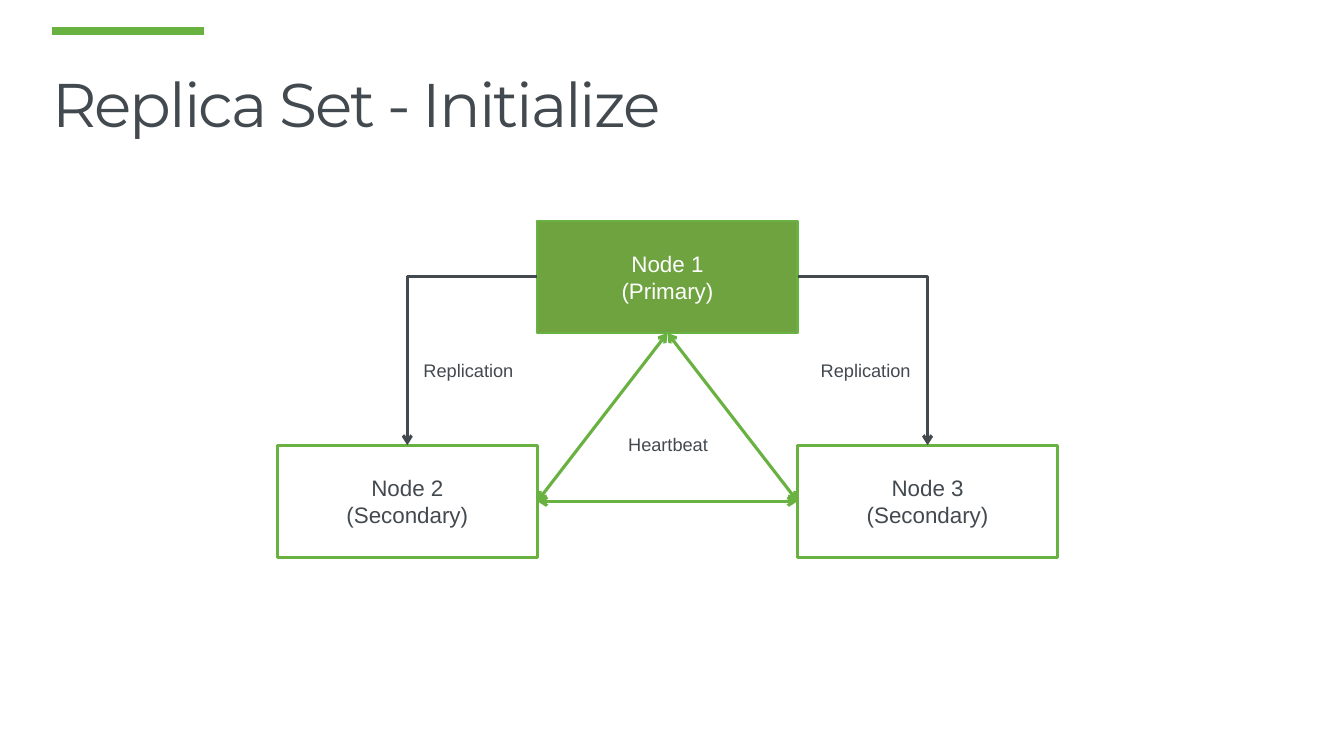
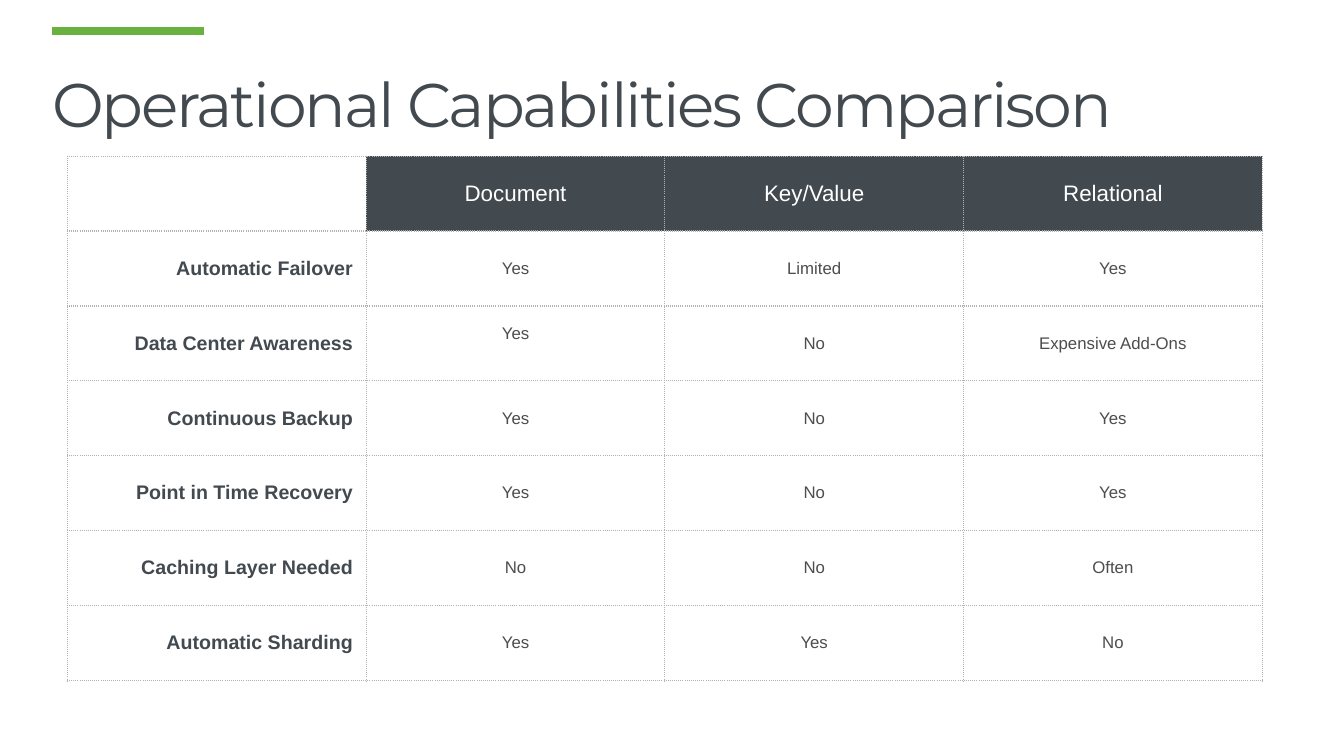
from lxml.etree import SubElement
from pptx import Presentation
from pptx.dml.color import RGBColor
from pptx.enum.shapes import MSO_CONNECTOR, MSO_SHAPE
from pptx.enum.text import MSO_ANCHOR, PP_ALIGN
from pptx.oxml import parse_xml
from pptx.oxml.ns import nsdecls, qn
from pptx.util import Inches, Pt

# Shared style
GREEN = "69B241"
PRIMARY_GREEN = "6EA340"
SLATE = "42494F"
BODY_GREY = "4E4C4C"
BORDER_GREY = "B3B2B2"
WHITE = "FFFFFF"
BODY_FONT = "Arial"
TITLE_FONT = "Montserrat"
SIDE_MARGIN = 0.13
LABEL_MARGIN = 0.07

# Connection sites of a rectangle
TOP, LEFT, BOTTOM, RIGHT = range(4)

COMPARISON = [
    ["", "Document", "Key/Value", "Relational"],
    ["Automatic Failover", "Yes", "Limited", "Yes"],
    ["Data Center Awareness", "Yes", "No", "Expensive Add-Ons"],
    ["Continuous Backup", "Yes", "No", "Yes"],
    ["Point in Time Recovery", "Yes", "No", "Yes"],
    ["Caching Layer Needed", "No", "No", "Often"],
    ["Automatic Sharding", "Yes", "Yes", "No"],
]
RAISED_CELL = (2, 1)


def color(hex_value):
    return RGBColor.from_string(hex_value)


def set_margins(target, horizontal, vertical):
    target.margin_left = target.margin_right = Inches(horizontal)
    target.margin_top = target.margin_bottom = Inches(vertical)


def write(text_frame, text, size, hex_value, alignment=PP_ALIGN.LEFT,
          font=BODY_FONT, bold=False):
    text_frame.text = text
    for paragraph in text_frame.paragraphs:
        paragraph.alignment = alignment
        for run in paragraph.runs:
            run.font.name = font
            run.font.size = Pt(size)
            run.font.bold = bold
            run.font.color.rgb = color(hex_value)


def add_line(slide, start, end, hex_value, width, kind=MSO_CONNECTOR.STRAIGHT,
             arrows=()):
    points = [Inches(value) for value in (*start, *end)]
    connector = slide.shapes.add_connector(kind, *points)
    connector.line.color.rgb = color(hex_value)
    connector.line.width = Pt(width)
    properties = connector._element.spPr
    outline = properties.find(qn("a:ln"))
    for arrow in arrows:
        SubElement(outline, qn(f"a:{arrow}"), type="arrow")
    SubElement(properties, qn("a:effectLst"))
    return connector


def add_titled_slide(presentation, title):
    slide = presentation.slides.add_slide(presentation.slide_layouts[6])
    # Accent band
    add_line(slide, (0.52, 0.31), (2.02, 0.31), GREEN, 6)
    # Title
    box = slide.shapes.add_textbox(Inches(0.42), 0, Inches(12.83), Inches(1.45))
    text_frame = box.text_frame
    text_frame.word_wrap = True
    text_frame.vertical_anchor = MSO_ANCHOR.BOTTOM
    write(text_frame, title, 44, SLATE, font=TITLE_FONT)
    paragraph = text_frame.paragraphs[0]
    paragraph.line_spacing = 0.9
    paragraph.runs[0].font._element.set("spc", "-150")
    return slide


def add_node(slide, left, top, width, height, text, fill, text_color, line_width):
    node = slide.shapes.add_shape(MSO_SHAPE.RECTANGLE, Inches(left), Inches(top),
                                  Inches(width), Inches(height))
    node.shadow.inherit = False
    node.fill.solid()
    node.fill.fore_color.rgb = color(fill)
    node.line.color.rgb = color(GREEN)
    node.line.width = Pt(line_width)
    node.text_frame.word_wrap = True
    node.text_frame.vertical_anchor = MSO_ANCHOR.MIDDLE
    set_margins(node.text_frame, SIDE_MARGIN, SIDE_MARGIN)
    write(node.text_frame, text, 16, text_color, PP_ALIGN.CENTER)
    return node


def add_label(slide, left, top, width, text, alignment=PP_ALIGN.LEFT):
    box = slide.shapes.add_textbox(Inches(left), Inches(top),
                                   Inches(width), Inches(0.36))
    box.text_frame.word_wrap = False
    set_margins(box.text_frame, SIDE_MARGIN, LABEL_MARGIN)
    write(box.text_frame, text, 13, SLATE, alignment)


def add_replica_diagram(slide, left, top, width, height):
    node_width = width / 3
    node_height = height / 3
    middle = left + width / 2
    inner_left = left + node_width
    inner_right = inner_left + node_width
    lower_top = top + 2 * node_height
    lower_middle = lower_top + node_height / 2

    # Nodes
    size = (node_width, node_height)
    primary = add_node(slide, inner_left, top, *size, "Node 1\n(Primary)",
                       PRIMARY_GREEN, WHITE, 1.5)
    second, third = [
        add_node(slide, node_left, lower_top, *size, f"Node {number}\n(Secondary)",
                 WHITE, SLATE, 2.25)
        for number, node_left in ((2, left), (3, inner_right))
    ]

    # Replication arrows
    upper_middle = top + node_height / 2
    for start_x, side, node, end_x in (
        (inner_left, LEFT, second, left + node_width / 2),
        (inner_right, RIGHT, third, inner_right + node_width / 2),
    ):
        connector = add_line(slide, (start_x, upper_middle), (end_x, lower_top),
                             SLATE, 2.25, MSO_CONNECTOR.ELBOW, ["tailEnd"])
        connector._element.spPr.find(qn("a:prstGeom")).set("prst", "bentConnector2")
        connector.begin_connect(primary, side)
        connector.end_connect(node, TOP)

    # Heartbeat triangle
    corners = [
        (primary, BOTTOM, (middle, top + node_height)),
        (second, RIGHT, (inner_left, lower_middle)),
        (third, LEFT, (inner_right, lower_middle)),
    ]
    for index, (start_node, start_site, start) in enumerate(corners):
        end_node, end_site, end = corners[(index + 1) % len(corners)]
        connector = add_line(slide, start, end, GREEN, 2.25,
                             arrows=["headEnd", "tailEnd"])
        connector.begin_connect(start_node, start_site)
        connector.end_connect(end_node, end_site)

    # Labels
    for label_left in (left + 1.32, left + 5.26):
        add_label(slide, label_left, top + 1.3, 1.19, "Replication")
    add_label(slide, middle - 0.54, top + 2.04, 1.09, "Heartbeat", PP_ALIGN.CENTER)


def add_cell_borders(cell):
    properties = cell._tc.get_or_add_tcPr()
    for position, side in enumerate(("lnL", "lnR", "lnT", "lnB")):
        properties.insert(position, parse_xml(
            f'<a:{side} {nsdecls("a")} w="{Pt(1)}"><a:solidFill>'
            f'<a:srgbClr val="{BORDER_GREY}"/></a:solidFill>'
            f'<a:prstDash val="dot"/></a:{side}>'))


def format_cell(cell, text, row, column):
    if row == 0:
        style = (16, WHITE, PP_ALIGN.CENTER)
    elif column == 0:
        style = (14, SLATE, PP_ALIGN.RIGHT)
    else:
        style = (12, BODY_GREY, PP_ALIGN.CENTER)
    write(cell.text_frame, text, *style, bold=column == 0)
    cell.vertical_anchor = MSO_ANCHOR.MIDDLE
    set_margins(cell, SIDE_MARGIN, LABEL_MARGIN)
    if row == 0 and column > 0:
        cell.fill.solid()
        cell.fill.fore_color.rgb = color(SLATE)
    else:
        cell.fill.background()
    add_cell_borders(cell)


def add_comparison_table(slide, left, top, width, height):
    frame = slide.shapes.add_table(len(COMPARISON), len(COMPARISON[0]), Inches(left),
                                   Inches(top), Inches(width), Inches(height))
    table = frame.table
    table.first_row = table.horz_banding = False
    for row, texts in enumerate(COMPARISON):
        for column, text in enumerate(texts):
            format_cell(table.cell(row, column), text, row, column)
    table.cell(*RAISED_CELL).margin_bottom = Inches(LABEL_MARGIN + 0.2)


def main():
    presentation = Presentation()
    presentation.slide_width = Inches(13.33)
    presentation.slide_height = Inches(7.5)

    slide = add_titled_slide(presentation, "Replica Set - Initialize")
    add_replica_diagram(slide, 2.75, 2.19, 7.74, 3.34)

    slide = add_titled_slide(presentation, "Operational Capabilities Comparison")
    add_comparison_table(slide, 0.67, 1.55, 11.85, 5.2)

    presentation.save("out.pptx")


if __name__ == "__main__":
    main()
